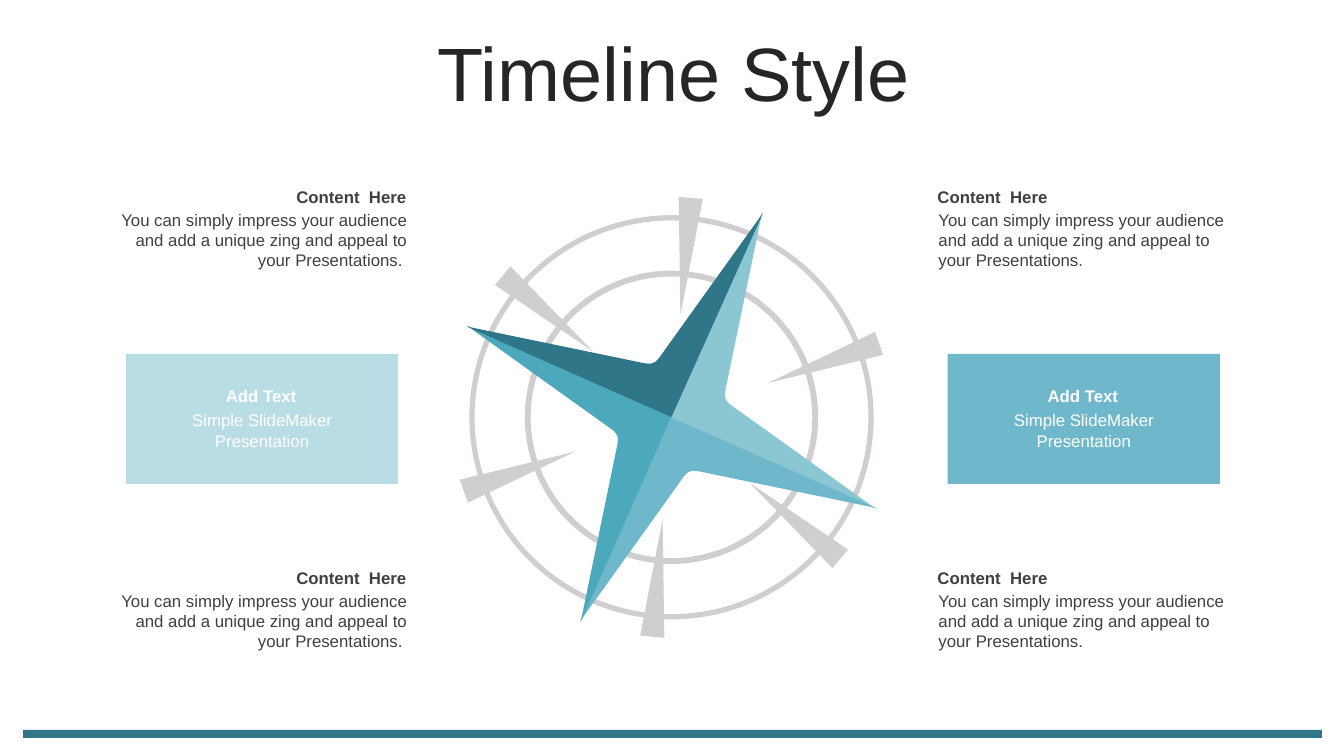
import math
from dataclasses import dataclass

from pptx import Presentation
from pptx.dml.color import RGBColor
from pptx.enum import shapes, text
from pptx.util import Inches, Pt


@dataclass(frozen=True)
class Theme:
    font: str = "Arial"
    title_size: int = 54
    text_size: int = 12
    title: str = "262626"
    body: str = "404040"
    white: str = "FFFFFF"
    ring: str = "D0CECE"
    dark_teal: str = "307689"
    teal: str = "4BA9BB"
    blue: str = "6FB8CC"
    light_teal: str = "8AC7D3"
    pale: str = "B9DDE5"


theme = Theme()
ALIGN = text.PP_ALIGN
ANCHOR = text.MSO_ANCHOR
SHAPE = shapes.MSO_SHAPE


def paint(shape, color):
    shape.shadow.inherit = False
    shape.fill.solid()
    shape.fill.fore_color.rgb = RGBColor.from_string(color)
    shape.line.fill.background()


def write(shape, words, color, align, size=theme.text_size, bold=False, anchor=ANCHOR.TOP):
    frame = shape.text_frame
    frame.word_wrap = True
    frame.auto_size = text.MSO_AUTO_SIZE.NONE
    frame.vertical_anchor = anchor
    paragraph = frame.paragraphs[0]
    paragraph.alignment = align
    run = paragraph.add_run()
    run.text = words
    run.font.name = theme.font
    run.font.size = Pt(size)
    run.font.bold = bold
    run.font.color.rgb = RGBColor.from_string(color)


presentation = Presentation()
presentation.slide_width = Inches(13.33)
presentation.slide_height = Inches(7.5)
slide = presentation.slides.add_slide(presentation.slide_layouts[5])
canvas = slide.shapes

# Title and footer bar
title = canvas.title
title.left, title.top = Inches(0.35), Inches(0.37)
title.width, title.height = Inches(12.66), Inches(0.79)
write(title, "Timeline Style", theme.title, ALIGN.CENTER, theme.title_size, anchor=ANCHOR.MIDDLE)
title.text_frame.paragraphs[0].line_spacing = 0.9

bar = canvas.add_shape(SHAPE.RECTANGLE, Inches(0.23), Inches(7.24), Inches(12.88), Inches(0.08))
paint(bar, theme.dark_teal)

# Compass rings
center_x, center_y = 6.66, 4.14
for diameter, thickness in ((2.91, 0.02), (4.01, 0.013)):
    ring = canvas.add_shape(
        SHAPE.DONUT, Inches(center_x - diameter / 2), Inches(center_y - diameter / 2),
        Inches(diameter), Inches(diameter))
    ring.adjustments[0] = thickness
    paint(ring, theme.ring)

# Compass star: one quarter, with a rounded notch, turned four times about the center
notch = ((0.54, -0.29), (0.52, -0.19), (0.53, -0.16), (0.62, -0.1))
steps = 8
curve = []
for step in range(steps + 1):
    t = step / steps
    weights = ((1 - t) ** 3, 3 * t * (1 - t) ** 2, 3 * t ** 2 * (1 - t), t ** 3)
    curve.append(tuple(sum(w * point[axis] for w, point in zip(weights, notch)) for axis in (0, 1)))
quarter = [(0, 0), (0.9, -2.03), *curve, (2.03, 0.91)]

for color in (theme.light_teal, theme.blue, theme.teal, theme.dark_teal):
    outline = [(Inches(center_x + x), Inches(center_y + y)) for x, y in quarter]
    builder = canvas.build_freeform(*outline[0])
    builder.add_line_segments(outline[1:], close=True)
    paint(builder.convert_to_shape(), color)
    quarter = [(-y, x) for x, y in quarter]

# Compass spokes, each pointing at the center
spoke_width, spoke_length, spoke_radius = 0.24, 1.17, 1.6
for angle in (185, 5, 250.4, 70.4, 130, 310):
    x = center_x - spoke_radius * math.sin(math.radians(angle))
    y = center_y + spoke_radius * math.cos(math.radians(angle))
    spoke = canvas.add_shape(
        SHAPE.ISOSCELES_TRIANGLE, Inches(x - spoke_width / 2), Inches(y - spoke_length / 2),
        Inches(spoke_width), Inches(spoke_length))
    spoke.rotation = angle
    paint(spoke, theme.ring)

# Captions in the four corners
caption = "You can simply impress your audience and add a unique zing and appeal to your Presentations."
for heading_left, body_left, align, ending in (
        (1.06, 1.08, ALIGN.RIGHT, " "), (9.2, 9.21, ALIGN.LEFT, "")):
    for top in (1.8, 5.58):
        heading = canvas.add_textbox(Inches(heading_left), Inches(top), Inches(3.07), Inches(0.3))
        write(heading, "Content  Here", theme.body, align, bold=True, anchor=ANCHOR.MIDDLE)
        body = canvas.add_textbox(Inches(body_left), Inches(top + 0.23), Inches(3.06), Inches(0.71))
        write(body, caption + ending, theme.body, align)

# Colored cards on both sides
for left, color in ((1.25, theme.pale), (9.4, theme.blue)):
    card = canvas.add_shape(SHAPE.RECTANGLE, Inches(left), Inches(3.51), Inches(2.7), Inches(1.29))
    paint(card, color)
    heading = canvas.add_textbox(Inches(left + 0.48), Inches(3.78), Inches(1.72), Inches(0.3))
    write(heading, "Add Text", theme.white, ALIGN.CENTER, bold=True)
    body = canvas.add_textbox(Inches(left + 0.49), Inches(4.02), Inches(1.72), Inches(0.5))
    write(body, "Simple SlideMaker Presentation", theme.white, ALIGN.CENTER)

presentation.save("out.pptx")
